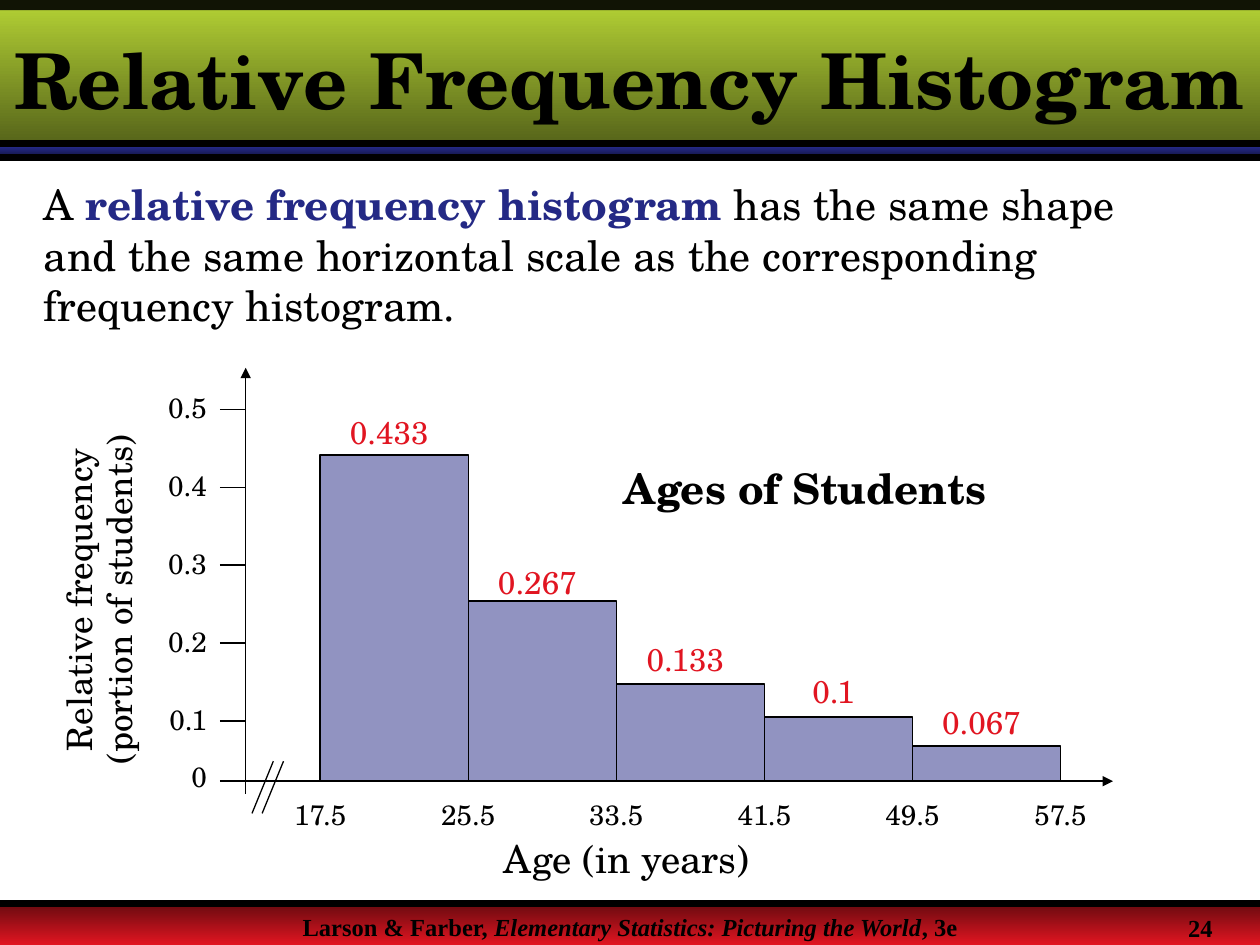
from lxml import etree
from pptx import Presentation
from pptx import util as u
from pptx.dml.color import RGBColor
from pptx.enum import shapes, text
from pptx.oxml.ns import qn

Pt = u.Pt
ALIGN = text.PP_ALIGN
SCHOLA, TIMES = "TeX Gyre Schola", "Times New Roman"
BLACK, NAVY, RED = "000000", "242985", "E11521"


def color(value):
    return RGBColor.from_string(value)


def add_text(place, paragraphs, size, align=ALIGN.LEFT, inset=(7.2, 3.6), spacing=None, **base):
    box = page.shapes.add_textbox(*map(Pt, place))
    frame = box.text_frame
    margins = dict(margin_left=inset[0], margin_right=inset[0],
                   margin_top=inset[1], margin_bottom=inset[1])
    for name, value in margins.items():
        setattr(frame, name, Pt(value))
    frame.word_wrap = True
    for index, spans in enumerate(paragraphs):
        para = frame.paragraphs[0] if index == 0 else frame.add_paragraph()
        para.alignment = align
        para.line_spacing = spacing
        for words, changes in spans:
            span = para.add_run()
            span.text = words
            style = {"name": SCHOLA, "size": Pt(size), "color": BLACK, **base, **changes}
            span.font.color.rgb = color(style.pop("color"))
            for name, value in style.items():
                setattr(span.font, name, value)
    return box


deck = Presentation()
deck.slide_width, deck.slide_height = Pt(720), Pt(540)
page = deck.slides.add_slide(deck.slide_layouts[6])

bands = [
    (516.2, 23.8, "680A0F", RED),
    (84.2, 5.8, NAVY, "11133E"),
    (0, 84.2, "B5D335", "546219"),
]
edges = [183 + 84.6 * i for i in range(6)]
bar_tops = [260, 343.4, 391, 409.7, 426.2]
base_line = 446.4

for top, height, start, end in bands:
    band = page.shapes.add_shape(shapes.MSO_SHAPE.RECTANGLE, 0, Pt(top), Pt(720), Pt(height))
    band.shadow.inherit = False
    band.line.fill.background()
    band.fill.gradient()
    band.fill.gradient_angle = 270
    for stop, value in zip(band.fill.gradient_stops, (start, end)):
        stop.color.rgb = color(value)

blocks = [(0, 0, 720, 5.8, BLACK, 90)]
for left, top in zip(edges, bar_tops):
    blocks.append((left, top, 84.6, base_line - top, NAVY, 50))
for *place, value, opacity in blocks:
    block = page.shapes.add_shape(shapes.MSO_SHAPE.RECTANGLE, *map(Pt, place))
    block.shadow.inherit = False
    block.fill.solid()
    block.fill.fore_color.rgb = color(value)
    tint = next(block.fill._xPr.iter(qn("a:srgbClr")))
    etree.SubElement(tint, qn("a:alpha"), val=str(opacity * 1000))
    if value == BLACK:
        block.line.fill.background()
    else:
        block.line.color.rgb = color(BLACK)
        block.line.width = Pt(0.88)

ticks = [234 + 44.5 * i for i in range(5)] + [base_line]
lines = [(0, y, 720, y, 4, False) for y in (90, 516.2, 82.1)]
lines += [(125.6, y, 140.6, y, 0.88, False) for y in ticks]
lines += [
    (140.4, 210.2, 140.4, 453.6, 0.88, True),
    (636, base_line, 135.4, base_line, 0.88, True),
]
lines += [(x, 435, x - 12.2, 464.8, 0.75, False) for x in (156.2, 162)]
for *ends, width, arrow in lines:
    line = page.shapes.add_connector(shapes.MSO_CONNECTOR.STRAIGHT, *map(Pt, ends))
    line.line.color.rgb = color(BLACK)
    line.line.width = Pt(width)
    if arrow:
        etree.SubElement(line.line._get_or_add_ln(), qn("a:headEnd"), type="triangle")
    etree.SubElement(line._element.spPr, qn("a:effectLst"))

title = add_text((0, 5.8, 720, 77.8), [[("Relative Frequency Histogram", {})]], 44,
                 ALIGN.CENTER, (0, 3.6), bold=True)
title.text_frame.vertical_anchor = text.MSO_ANCHOR.MIDDLE
add_text((18, 98.6, 653.8, 95), [[
    ("A ", {}),
    ("relative frequency histogram", {"bold": True, "color": NAVY}),
    (" has the same shape and the same horizontal scale as the corresponding "
     "frequency histogram.", {}),
]], 24)
add_text((349.2, 261, 250.6, 36), [[("Ages of Students", {})]], 24, bold=True)
add_text((270, 473.8, 176, 33.8), [[("Age (in years)", {})]], 22, ALIGN.CENTER)
axis_title = add_text((-50.4, 316.1, 216, 53.3),
                      [[("Relative frequency", {})], [("(portion of students)", {})]],
                      20, ALIGN.CENTER, spacing=0.95)
axis_title.rotation = 270

label_tops = [223.2 + 44.6 * i for i in range(5)] + [434.2]
for label, top in zip(["0.5", "0.4", "0.3", "0.2", "0.1", "0"], label_tops):
    add_text((88, top, 30.2, 19.4), [[(label, {})]], 16, ALIGN.RIGHT, (0, 0))
for i, x in enumerate(edges):
    add_text((x - 20, 455.5, 40, 19.4), [[(f"{17.5 + 8 * i}", {})]], 16, ALIGN.CENTER, (0, 0))

values = ["0.433", "0.267", "0.133", "0.1", "0.067"]
value_tops = [232.6, 318.2, 362.2, 380.2, 398.2]
for value, left, top in zip(values, edges, value_tops):
    add_text((left + 3.5, top, 72, 28.8), [[(value, {})]], 18, ALIGN.CENTER, color=RED)

add_text((0, 517.7, 720, 14.4), [[
    ("Larson & Farber, ", {}),
    ("Elementary Statistics: Picturing the World", {"italic": True}),
    (", 3e", {}),
]], 14, ALIGN.CENTER, name=TIMES, bold=True)
add_text((671.8, 518.4, 48.2, 21.6), [[("24", {})]], 14, name=TIMES, bold=True)

deck.save("out.pptx")
